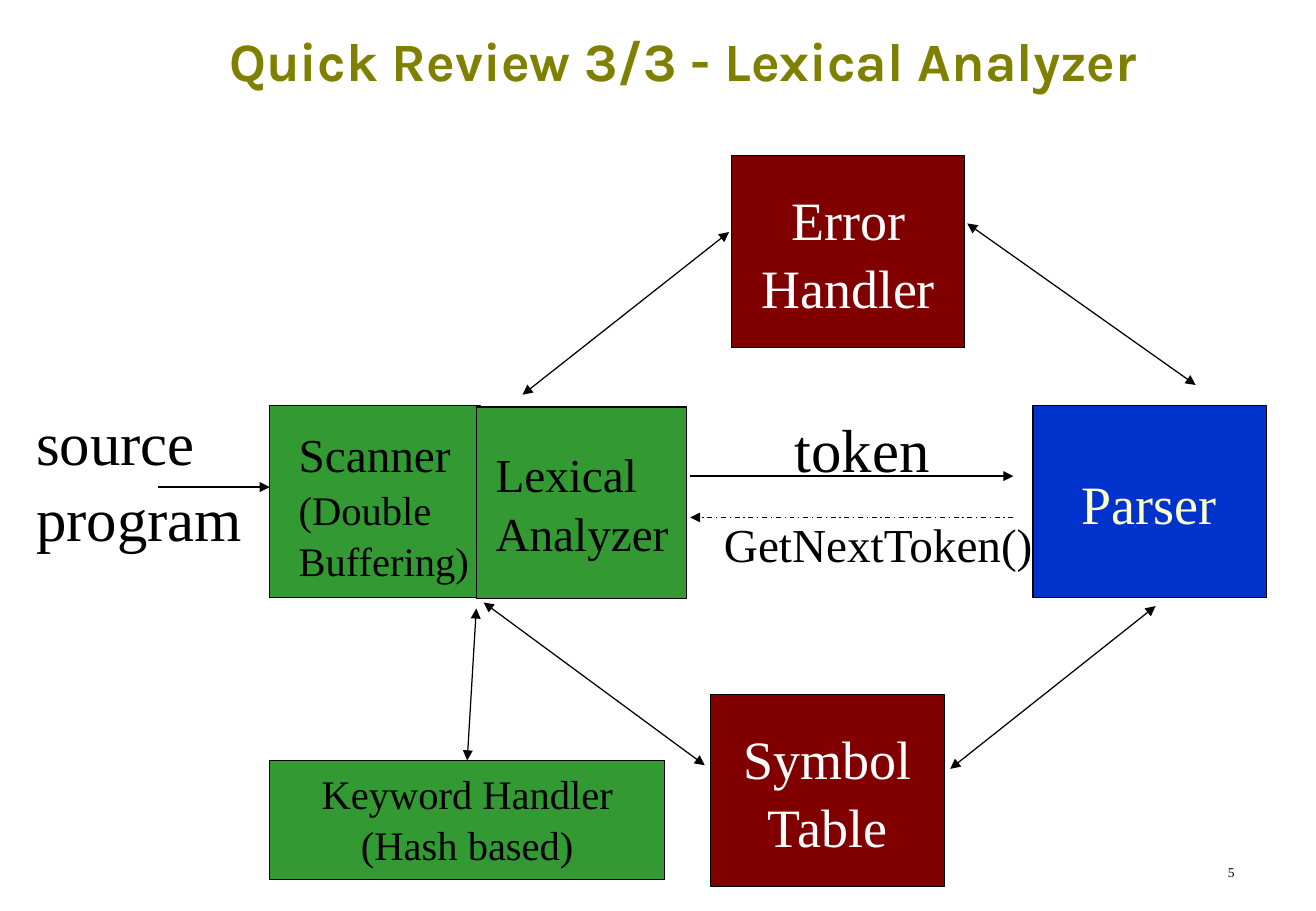
from dataclasses import dataclass
from typing import Optional

from lxml.etree import SubElement
from pptx import Presentation
from pptx.dml.color import RGBColor
from pptx.enum.dml import MSO_LINE
from pptx.enum.shapes import MSO_CONNECTOR, MSO_SHAPE
from pptx.enum.text import MSO_ANCHOR as ANCHOR, PP_ALIGN as ALIGN
from pptx.oxml.ns import qn
from pptx.util import Inches, Pt


@dataclass(frozen=True)
class Theme:
    body_font: str = "Times New Roman"
    title_font: str = "Karla"
    black: str = "000000"
    white: str = "FFFFFF"
    cream: str = "FFFFCC"
    olive: str = "808000"
    green: str = "339933"
    blue: str = "0033CC"
    maroon: str = "800000"
    flow: int = 36
    block: int = 32
    label: int = 28
    detail: int = 24
    page: int = 8
    line: float = 0.75
    spacing: float = 1.05


T = Theme()
BLOCK_W, BLOCK_H = 1.92, 1.58
STAGE_W = 1.73


@dataclass(frozen=True)
class Text:
    """Paragraphs are tuples of (words, size) runs."""
    paragraphs: tuple
    color: str = T.black
    align: ALIGN = ALIGN.LEFT
    anchor: ANCHOR = ANCHOR.TOP
    wrap: bool = False


@dataclass(frozen=True)
class Item:
    """A filled box, or a bare label when it has no fill."""
    x: float
    y: float
    w: float
    h: float
    fill: Optional[str] = None
    text: Optional[Text] = None


@dataclass(frozen=True)
class Arrow:
    x1: float
    y1: float
    x2: float
    y2: float
    two_way: bool = True
    dashed: bool = False


def lines(size: int, *words: str) -> tuple:
    return tuple(((word, size),) for word in words)


def block_text(*words: str, color: str = T.white) -> Text:
    return Text(lines(T.block, *words), color, ALIGN.CENTER, ANCHOR.MIDDLE)


ITEMS = [
    Item(8, 7.06, 2.26, 0.25, text=Text(lines(T.page, "5"), align=ALIGN.RIGHT, wrap=True)),
    Item(0.2, 3.25, 1.9, 1.3, text=Text(lines(T.flow, "source", "program"))),
    Item(6.44, 3.31, 1.32, 0.7, text=Text(lines(T.flow, "token"))),
    Item(5.86, 4.17, 2.77, 0.57, text=Text(lines(T.label, "GetNextToken()"))),
    Item(2.22, 3.34, STAGE_W, BLOCK_H, T.green),
    Item(8.5, 3.34, BLOCK_W, BLOCK_H, T.blue, block_text("Parser", color=T.cream)),
    Item(5.85, 5.72, BLOCK_W, BLOCK_H, T.maroon, block_text("Symbol", "Table")),
    Item(3.92, 3.35, STAGE_W, BLOCK_H, T.green),
    Item(3.98, 3.59, 1.65, 1.04, text=Text(lines(T.label, "Lexical Analyzer"), wrap=True)),
    Item(2.36, 3.43, 1.6, 1.38, text=Text(
        ((("Scanner ", T.label), ("(Double Buffering)", T.detail)),), wrap=True)),
    Item(6.02, 1.28, BLOCK_W, BLOCK_H, T.maroon, block_text("Error", "Handler")),
]
KEYWORD_HANDLER = Item(2.22, 6.26, 3.25, 0.98, T.green, Text(
    lines(T.detail, "Keyword Handler (Hash based)"), align=ALIGN.CENTER, wrap=True))

ARROWS = [
    Arrow(5.68, 3.92, 8.34, 3.92, two_way=False),
    Arrow(8.34, 4.26, 5.68, 4.26, two_way=False, dashed=True),
    Arrow(1.3, 4.01, 2.22, 4.01, two_way=False),
    Arrow(9.51, 4.99, 7.82, 6.33),
    Arrow(3.98, 4.96, 5.8, 6.3),
    Arrow(6, 1.91, 4.3, 3.25),
    Arrow(7.96, 1.84, 9.84, 3.17),
]
KEYWORD_ARROW = Arrow(3.84, 6.26, 3.92, 5.01)


def rgb(color: str) -> RGBColor:
    return RGBColor.from_string(color)


def add_text(tf, text: Text) -> None:
    tf.word_wrap = text.wrap
    tf.vertical_anchor = text.anchor
    for i, runs in enumerate(text.paragraphs):
        p = tf.add_paragraph() if i else tf.paragraphs[0]
        p.alignment = text.align
        p.line_spacing = T.spacing
        for words, size in runs:
            r = p.add_run()
            r.text = words
            r.font.name = T.body_font
            r.font.size = Pt(size)
            r.font.color.rgb = rgb(text.color)


def add_item(s, item: Item):
    place = [Inches(v) for v in (item.x, item.y, item.w, item.h)]
    if item.fill:
        sp = s.shapes.add_shape(MSO_SHAPE.RECTANGLE, *place)
        sp.shadow.inherit = False
        sp.fill.solid()
        sp.fill.fore_color.rgb = rgb(item.fill)
        sp.line.color.rgb = rgb(T.black)
        sp.line.width = Pt(T.line)
    else:
        sp = s.shapes.add_textbox(*place)
    if item.text:
        add_text(sp.text_frame, item.text)
    return sp


def add_arrow(s, arrow: Arrow):
    ends = [Inches(v) for v in (arrow.x1, arrow.y1, arrow.x2, arrow.y2)]
    cxn = s.shapes.add_connector(MSO_CONNECTOR.STRAIGHT, *ends)
    cxn.line.color.rgb = rgb(T.black)
    cxn.line.width = Pt(T.line)
    if arrow.dashed:
        cxn.line.dash_style = MSO_LINE.DASH_DOT
    ln = cxn.line._get_or_add_ln()
    for tag in ("a:headEnd", "a:tailEnd") if arrow.two_way else ("a:tailEnd",):
        SubElement(ln, qn(tag), type="triangle")
    SubElement(cxn._element.spPr, qn("a:effectLst"))
    return cxn


def add_title(s, words: str) -> None:
    title = s.shapes.title
    title.left, title.top = Inches(0.5), Inches(-0.01)
    title.width, title.height = Inches(10.25), Inches(1)
    tf = title.text_frame
    tf.vertical_anchor = ANCHOR.MIDDLE
    p = tf.paragraphs[0]
    p.alignment = ALIGN.CENTER
    r = p.add_run()
    r.text = words
    r.font.name = T.title_font
    r.font.size = Pt(T.block)
    r.font.bold = True
    r.font.color.rgb = rgb(T.olive)


def main() -> None:
    prs = Presentation()
    prs.slide_width, prs.slide_height = Inches(10.83), Inches(7.5)
    s = prs.slides.add_slide(prs.slide_layouts[5])
    add_title(s, "Quick Review 3/3 - Lexical Analyzer")
    for item in ITEMS:
        add_item(s, item)
    for arrow in ARROWS:
        add_arrow(s, arrow)
    keyword_handler = add_item(s, KEYWORD_HANDLER)
    add_arrow(s, KEYWORD_ARROW).begin_connect(keyword_handler, 0)
    prs.save("out.pptx")


if __name__ == "__main__":
    main()
